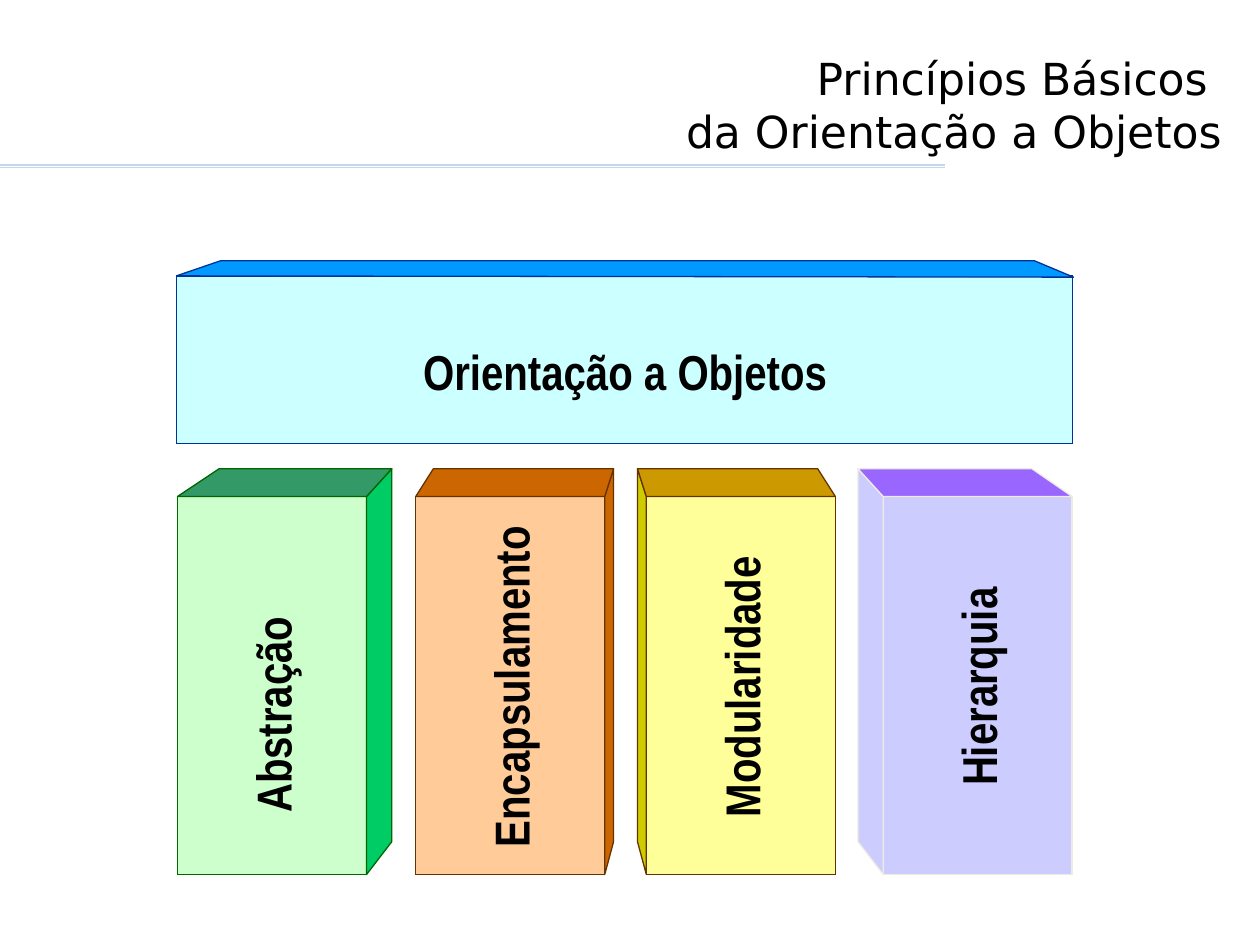
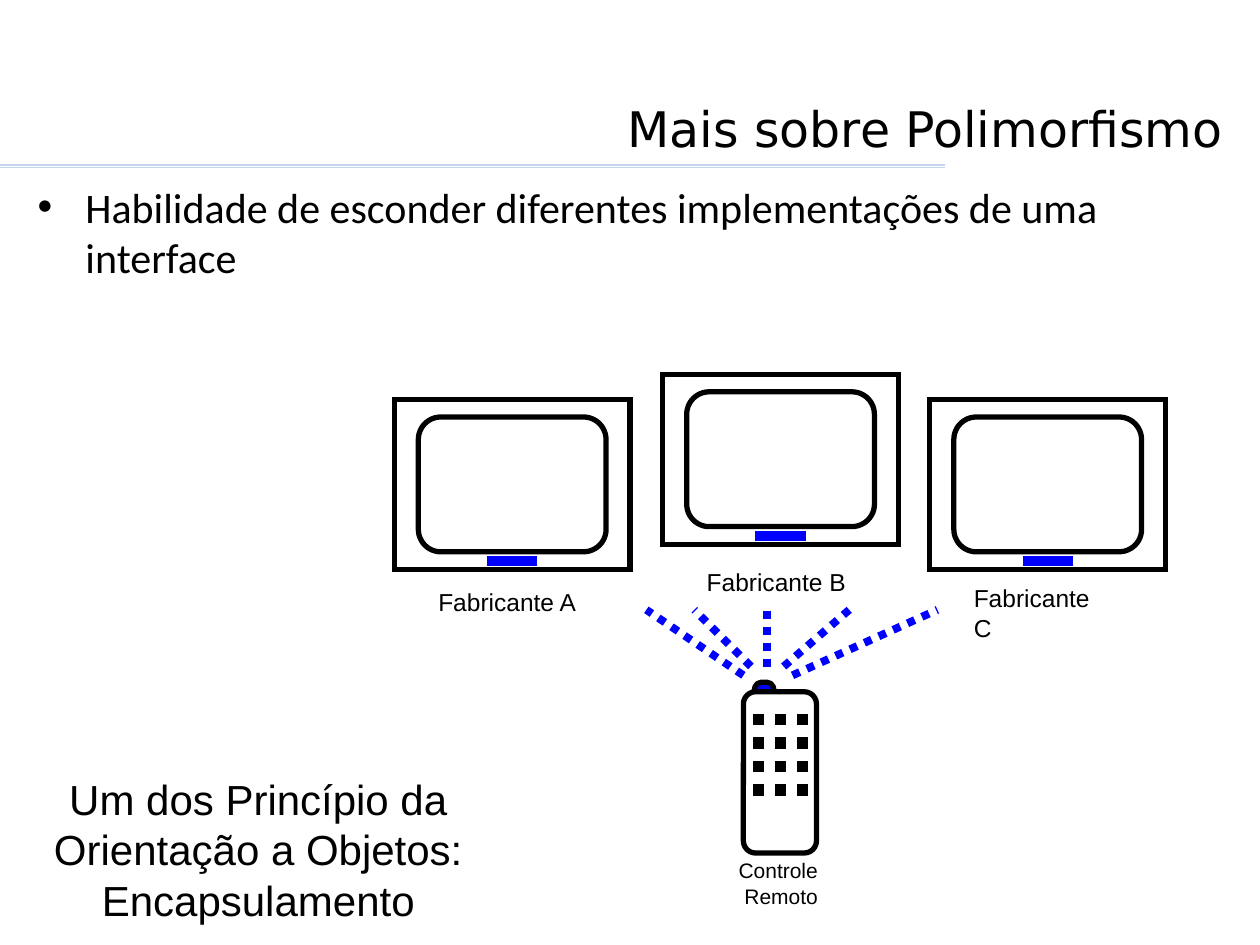
from dataclasses import dataclass
from itertools import product

from lxml.etree import SubElement
from pptx import Presentation
from pptx.dml.color import RGBColor
from pptx.enum.dml import MSO_LINE_DASH_STYLE as Dash
from pptx.enum.shapes import MSO_CONNECTOR, MSO_SHAPE as Preset
from pptx.enum.text import MSO_ANCHOR as Anchor, MSO_AUTO_SIZE as AutoSize, PP_ALIGN as Align
from pptx.oxml.ns import qn
from pptx.util import Inches, Pt

COLORS = {
    "ink": "000000", "rule": "C4D6EB", "signal": "0000FF",
    "beam": "CCFFFF", "beam_top": "0099FF", "beam_edge": "003399",
    "green": "CCFFCC", "green_top": "339966", "green_side": "00CC66", "green_edge": "006600",
    "orange": "FFCC99", "rust": "CC6600", "brown_edge": "663300",
    "yellow": "FFFF99", "gold": "CC9900", "olive": "CCCC00",
    "lilac": "CCCCFF", "violet": "9966FF", "pale_edge": "EEECE1",
}


@dataclass(frozen=True)
class Style:
    font: str
    size: float
    align: Align = Align.LEFT
    bold: bool = False


@dataclass(frozen=True)
class Pillar:
    label: str
    left: float
    depth: float
    inset: float
    front: str
    top: str
    side: str
    edge: str


@dataclass(frozen=True)
class Television:
    maker: str
    left: float
    top: float
    maker_top: float


@dataclass(frozen=True)
class Ray:
    start: tuple[float, float]
    end: tuple[float, float]


BLOCK = Style("Arial Narrow", 28, Align.CENTER, True)
BULLET = Style("Calibri", 24)
PRINCIPLE = Style("Arial", 24, Align.CENTER)
MAKER = Style("Arial", 14)
REMOTE = Style("Arial", 12, Align.CENTER)

WIDE_INSET = (0.12, 0.06)
NORMAL_INSET = (0.1, 0.05)

PILLAR_WIDTH, PILLAR_TOP, PILLAR_BOTTOM = 1.5, 3.94, 6.94
BACK_TOP, BACK_BOTTOM = 3.72, 6.68
LABEL_WIDTH, LABEL_HEIGHT = 3, 0.59
LABEL_CENTER = 5.45

PILLARS = [
    Pillar("Abstração\t", 1.41, 0.2, 0.33, "green", "green_top", "green_side", "green_edge"),
    Pillar("Encapsulamento", 3.3, 0.07, 0.14, "orange", "rust", "rust", "brown_edge"),
    Pillar("Modularidade", 5.13, -0.07, 0.14, "yellow", "gold", "olive", "brown_edge"),
    Pillar("Hierarquia", 7.01, -0.2, 0.32, "lilac", "violet", "lilac", "pale_edge"),
]

TELEVISIONS = [
    Television("Fabricante A", 3.13, 3.17, 4.61),
    Television("Fabricante B", 5.26, 2.97, 4.45),
    Television("Fabricante C", 7.38, 3.17, 4.58),
]

RAYS = [
    Ray((5.9, 5.36), (5.13, 4.84)),
    Ray((6.09, 5.29), (6.09, 4.84)),
    Ray((6.29, 5.36), (7.44, 4.84)),
    Ray((5.96, 5.29), (5.51, 4.84)),
    Ray((6.22, 5.29), (6.74, 4.84)),
]


def rgb(name: str) -> RGBColor:
    return RGBColor.from_string(COLORS[name])


def paint(shape, fill: str | None, edge: str, width: float) -> None:
    shape.shadow.inherit = False
    if fill:
        shape.fill.solid()
        shape.fill.fore_color.rgb = rgb(fill)
    else:
        shape.fill.background()
    shape.line.color.rgb = rgb(edge)
    shape.line.width = Pt(width)


def add_preset(slide, preset: Preset, left: float, top: float, width: float, height: float,
               fill: str | None, edge: str, line_width: float):
    shape = slide.shapes.add_shape(preset, Inches(left), Inches(top), Inches(width), Inches(height))
    paint(shape, fill, edge, line_width)
    if preset == Preset.RECTANGLE:
        SubElement(shape.element.spPr.find(qn("a:ln")), qn("a:miter"), lim="800000")
    return shape


def add_face(slide, corners: list[tuple[float, float]], fill: str, edge: str) -> None:
    points = [(Inches(x), Inches(y)) for x, y in corners]
    builder = slide.shapes.build_freeform(*points[0])
    builder.add_line_segments(points[1:], close=True)
    paint(builder.convert_to_shape(), fill, edge, 0.75)


def add_line(slide, start: tuple[float, float], end: tuple[float, float],
             color: str, width: float, dash: Dash | None = None) -> None:
    line = slide.shapes.add_connector(MSO_CONNECTOR.STRAIGHT, *(Inches(v) for v in start + end))
    line.line.color.rgb = rgb(color)
    line.line.width = Pt(width)
    if dash:
        line.line.dash_style = dash
    SubElement(line.element.spPr, qn("a:effectLst"))


def write(paragraph, text: str, style: Style) -> None:
    paragraph.alignment = style.align
    for number, part in enumerate(text.split("\n")):
        if number:
            paragraph.add_line_break()
        run = paragraph.add_run()
        run.text = part
        run.font.name = style.font
        run.font.size = Pt(style.size)
        run.font.bold = style.bold
        run.font.color.rgb = rgb("ink")


def add_text(slide, left: float, top: float, width: float, height: float, paragraphs: list[str],
             style: Style, inset: tuple[float, float] = NORMAL_INSET, wrap: bool = True,
             grow: bool = True):
    box = slide.shapes.add_textbox(Inches(left), Inches(top), Inches(width), Inches(height))
    frame = box.text_frame
    frame.word_wrap = wrap
    frame.auto_size = AutoSize.SHAPE_TO_FIT_TEXT if grow else AutoSize.NONE
    frame.margin_left = frame.margin_right = Inches(inset[0])
    frame.margin_top = frame.margin_bottom = Inches(inset[1])
    for number, text in enumerate(paragraphs):
        write(frame.add_paragraph() if number else frame.paragraphs[0], text, style)
    return box


def add_titled_slide(deck, text: str, size: float):
    slide = deck.slides.add_slide(deck.slide_layouts[5])
    for height in (1.33, 1.31):
        add_line(slide, (0, height), (7.5, height), "rule", 0.75)
    title = slide.shapes.title
    title.left, title.top, title.width, title.height = (Inches(v) for v in (0.18, 0.28, 9.62, 1.02))
    title.text_frame.vertical_anchor = Anchor.BOTTOM
    title.text_frame.auto_size = AutoSize.NONE
    write(title.text_frame.paragraphs[0], text, Style("DejaVu Sans", size, Align.RIGHT))
    return slide


def draw_beam(slide) -> None:
    add_preset(slide, Preset.RECTANGLE, 1.4, 2.19, 7.11, 1.33, "beam", "beam_edge", 0.75)
    add_face(slide, [(8.52, 2.2), (8.21, 2.07), (1.75, 2.07), (1.4, 2.19)], "beam_top", "beam_edge")
    add_text(slide, 1.42, 2.65, 7.08, LABEL_HEIGHT, ["Orientação a Objetos"], BLOCK, WIDE_INSET)


def draw_pillar(slide, pillar: Pillar) -> None:
    right = pillar.left + PILLAR_WIDTH
    outer, joint, sign = (pillar.left, right, 1) if pillar.depth > 0 else (right, pillar.left, -1)
    back = joint + pillar.depth
    add_preset(slide, Preset.RECTANGLE, pillar.left, PILLAR_TOP, PILLAR_WIDTH,
               PILLAR_BOTTOM - PILLAR_TOP, pillar.front, pillar.edge, 0.75)
    add_face(slide, [(back, BACK_TOP), (joint, PILLAR_TOP), (joint, PILLAR_BOTTOM),
                     (back, BACK_BOTTOM)], pillar.side, pillar.edge)
    add_face(slide, [(outer, PILLAR_TOP), (outer + sign * pillar.inset, BACK_TOP),
                     (back, BACK_TOP), (joint, PILLAR_TOP)], pillar.top, pillar.edge)
    label = add_text(slide, pillar.left + (PILLAR_WIDTH - LABEL_WIDTH) / 2,
                     LABEL_CENTER - LABEL_HEIGHT / 2, LABEL_WIDTH, LABEL_HEIGHT,
                     [pillar.label], BLOCK, WIDE_INSET)
    label.rotation = 270


def draw_television(slide, tv: Television) -> None:
    add_preset(slide, Preset.RECTANGLE, tv.left, tv.top, 1.87, 1.35, None, "ink", 3)
    add_preset(slide, Preset.ROUNDED_RECTANGLE, tv.left + 0.19, tv.top + 0.14, 1.49, 1.07,
               None, "ink", 3)
    add_preset(slide, Preset.RECTANGLE, tv.left + 0.75, tv.top + 1.26, 0.37, 0.05,
               "signal", "signal", 2)
    add_text(slide, tv.left + 0.25, tv.maker_top, 1.31, 0.34, [tv.maker], MAKER, wrap=False)


def draw_remote(slide) -> None:
    emitter = add_preset(slide, Preset.RIGHT_BRACKET, 6.03, 5.37, 0.07, 0.16, "signal", "ink", 3)
    emitter.adjustments[0] = 0.78
    emitter.rotation = 270
    add_preset(slide, Preset.ROUNDED_RECTANGLE, 5.9, 5.49, 0.58, 1.28, None, "ink", 3)
    for row, column in product(range(4), range(3)):
        add_preset(slide, Preset.RECTANGLE, 5.98 + 0.175 * column, 5.67 + 0.187 * row,
                   0.08, 0.08, "ink", "ink", 1)
    for ray in RAYS:
        add_line(slide, ray.start, ray.end, "signal", 4.5, Dash.ROUND_DOT)
    add_text(slide, 5.76, 6.76, 0.88, 0.5, ["Controle ", "Remoto"], REMOTE, wrap=False)


def build_principles(deck) -> None:
    slide = add_titled_slide(deck, "Princípios Básicos \nda Orientação a Objetos", 25.2)
    draw_beam(slide)
    for pillar in PILLARS:
        draw_pillar(slide, pillar)


def build_polymorphism(deck) -> None:
    slide = add_titled_slide(deck, "Mais sobre Polimorfismo", 28)
    ability = add_text(slide, 0.2, 1.39, 9.61, 5.9,
                       ["Habilidade de esconder diferentes implementações de uma interface"],
                       BULLET, grow=False)
    properties = ability.text_frame.paragraphs[0]._p.get_or_add_pPr()
    properties.set("marL", str(Inches(0.38)))
    properties.set("indent", str(Inches(-0.38)))
    SubElement(properties, qn("a:buFont"), typeface="Arial")
    SubElement(properties, qn("a:buChar"), char="•")
    add_text(slide, 0.12, 6.08, 3.86, 1.33,
             ["Um dos Princípio da Orientação a Objetos:\nEncapsulamento"], PRINCIPLE, WIDE_INSET)
    for tv in TELEVISIONS:
        draw_television(slide, tv)
    draw_remote(slide)


def main() -> None:
    deck = Presentation()
    deck.slide_width, deck.slide_height = Inches(10), Inches(7.5)
    build_principles(deck)
    build_polymorphism(deck)
    deck.save("out.pptx")


if __name__ == "__main__":
    main()
